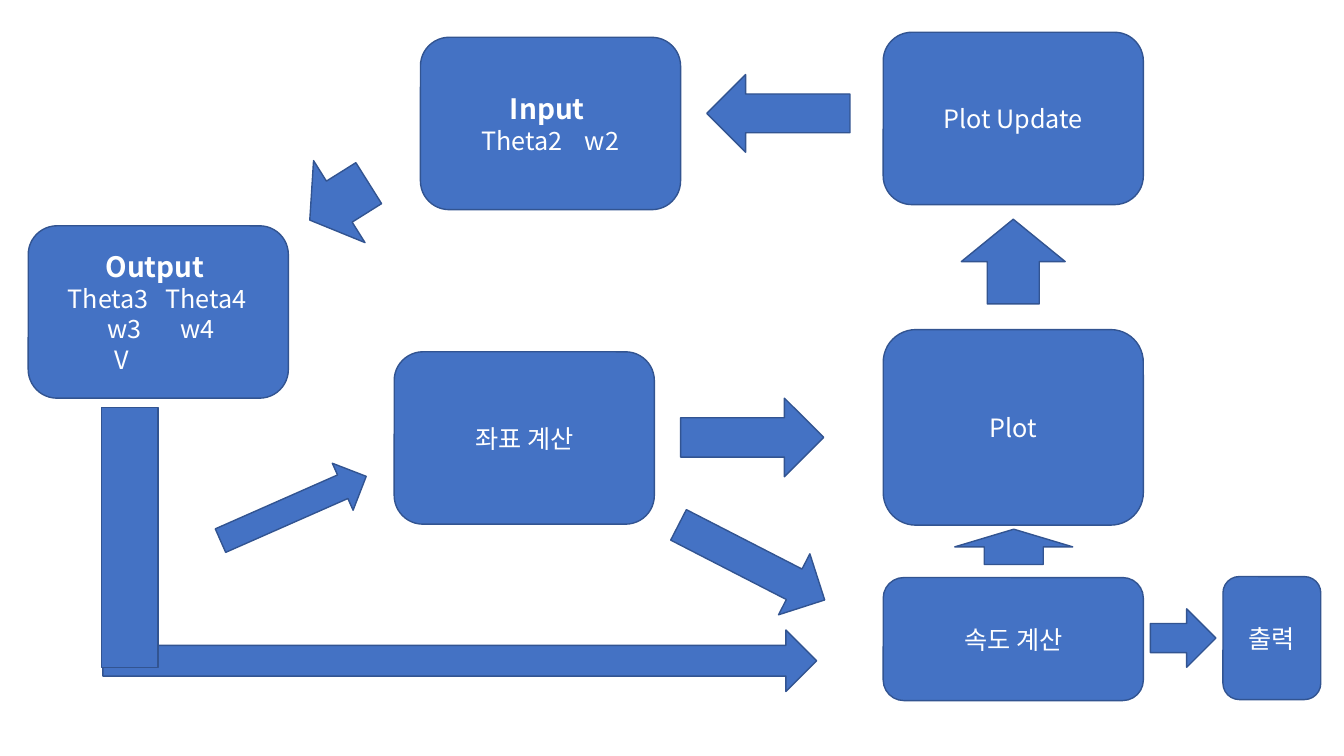
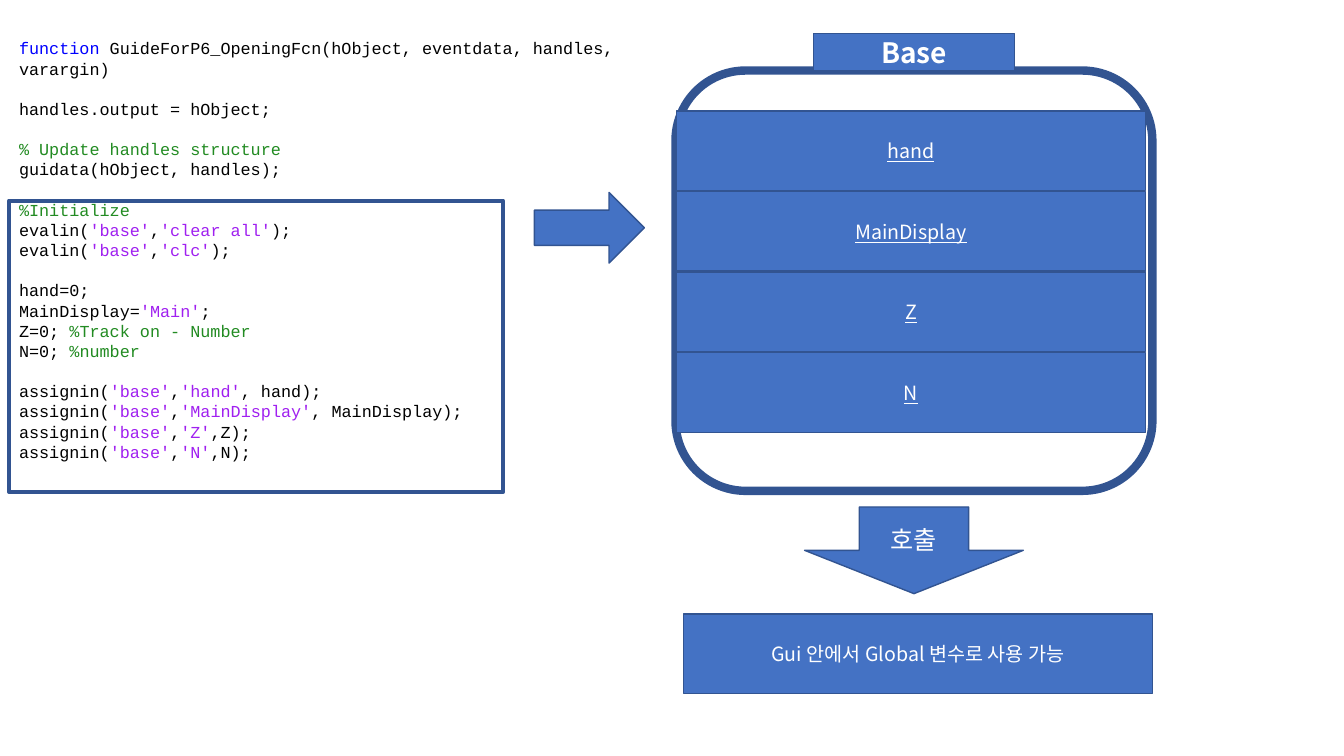
import lxml.etree
import pptx
import pptx.dml.color
import pptx.enum.shapes
import pptx.enum.text
import pptx.oxml.ns
import pptx.util

PX = 9144
SLIDE_SIZE = (1333, 750)
FILL, OUTLINE, WHITE = "4472C4", "325491", "FFFFFF"
LABEL_FONT, CODE_FONT = "Noto Sans CJK KR", "Courier New"
CODE_COLORS = {"keyword": "0000FF", "plain": "000000", "comment": "228B22", "string": "A020F0"}
CODE_LINE = 14.4

SHAPES = pptx.enum.shapes.MSO_SHAPE
ALIGN = pptx.enum.text.PP_ALIGN
ANCHOR = pptx.enum.text.MSO_ANCHOR

HEADING = {"size": 20, "bold": True}
BODY = {"size": 18}
SMALL = {"size": 14}
VARIABLE = {"size": 14, "underline": True}

STEPS = [
    ((28, 224, 258, 171), [("Output ", HEADING, []),
                           ("\tTheta3\tTheta4", BODY, [21, 118]),
                           ("\tw3\tw4", BODY, [60, 133]),
                           ("\tV", BODY, [67])]),
    ((876, 327, 258, 194), [("Plot", BODY, [])]),
    ((391, 349, 258, 171), [("좌표 계산", BODY, [])]),
    ((876, 32, 258, 171), [("Plot Update", BODY, [])]),
    ((417, 37, 258, 171), [("Input ", HEADING, []),
                           ("\tTheta2\tw2", BODY, [42, 145])]),
    ((876, 573, 258, 122), [("속도 계산", BODY, [])]),
    ((1213, 572, 97, 122), [("출력", BODY, [])]),
]

STEP_ARROWS = [
    ((701, 74, 142, 77), 180),
    ((212, 479, 158, 51), 336.2),
    ((102, 625, 708, 61), 0),
    ((675, 395, 142, 78), 0),
    ((963, 208, 84, 103), 270),
    ((302, 152, 69, 96), 147.9),
    ((664, 524, 163, 68), 27.2),
    ((988, 484, 35, 117), 270),
    ((1141, 604, 65, 58), 0),
]
OUTPUT_BAR = (101, 404, 56, 258)

CODE_BLOCKS = [
    ["function GuideForP6_OpeningFcn(hObject, eventdata, handles, varargin)"],
    ["handles.output = hObject;"],
    ["% Update handles structure",
     "guidata(hObject, handles);"],
    ["%Initialize",
     "evalin('base','clear all');",
     "evalin('base','clc');"],
    ["hand=0;",
     "MainDisplay='Main';",
     "Z=0; %Track on - Number",
     "N=0; %number"],
    ["assignin('base','hand', hand);",
     "assignin('base','MainDisplay', MainDisplay);",
     "assignin('base','Z',Z);",
     "assignin('base','N',N);"],
]
CODE_BOX = (9, 33, 612, 454)
CODE_FRAME = (9, 199, 490, 289)
CODE_ARROW = (530, 191, 109, 70)

BASE_FRAME = (670, 70, 473, 417)
BASE_LABEL = (807, 33, 199, 37)
VARIABLES = ["hand", "MainDisplay", "Z", "N"]
ROW_LEFT, ROW_TOP, ROW_WIDTH, ROW_HEIGHT, ROW_STEP = 671, 110, 465, 79, 80
CALL_ARROW = (798, 503, 217, 86)
RESULT_BOX = (678, 609, 465, 79)


def color(value):
    return pptx.dml.color.RGBColor.from_string(value)


def lengths(box):
    return [value * PX for value in box]


def set_values(target, values):
    for name, value in values.items():
        setattr(target, name, value)


def add_run(paragraph, text, font_name, font_color, values):
    run = paragraph.add_run()
    run.text = text
    set_values(run.font, {**values, "name": font_name, "size": pptx.util.Pt(values["size"])})
    run.font.color.rgb = color(font_color)
    east_asian = lxml.etree.SubElement(run.font._element, pptx.oxml.ns.qn("a:ea"))
    east_asian.set("typeface", font_name)


def next_paragraph(frame, index):
    return frame.add_paragraph() if index else frame.paragraphs[0]


def add_tabs(paragraph, stops):
    properties = paragraph._p.get_or_add_pPr()
    tab_list = lxml.etree.SubElement(properties, pptx.oxml.ns.qn("a:tabLst"))
    for stop in stops:
        tab = lxml.etree.SubElement(tab_list, pptx.oxml.ns.qn("a:tab"))
        tab.set("pos", str(stop * PX))
        tab.set("algn", "l")


def add_block(slide, kind, box, lines=(), rotation=0, fill=FILL, line_width=1):
    shape = slide.shapes.add_shape(kind, *lengths(box))
    shape.shadow.inherit = False
    shape.rotation = rotation
    if fill:
        shape.fill.solid()
        shape.fill.fore_color.rgb = color(fill)
    else:
        shape.fill.background()
    shape.line.color.rgb = color(OUTLINE)
    shape.line.width = pptx.util.Pt(line_width)
    frame = shape.text_frame
    set_values(frame, {"word_wrap": True, "vertical_anchor": ANCHOR.MIDDLE})
    for index, (text, values, stops) in enumerate(lines):
        paragraph = next_paragraph(frame, index)
        paragraph.alignment = ALIGN.LEFT if stops else ALIGN.CENTER
        if stops:
            add_tabs(paragraph, stops)
        add_run(paragraph, text, LABEL_FONT, WHITE, values)
    return shape


def code_tokens(line):
    code, percent, comment = line.partition("%")
    if code.startswith("function"):
        yield "keyword", "function"
        code = code.removeprefix("function")
    for index, piece in enumerate(code.split("'")):
        if index % 2:
            yield "string", f"'{piece}'"
        elif piece:
            yield "plain", piece
    if percent:
        yield "comment", percent + comment


def add_code(slide):
    frame = slide.shapes.add_textbox(*lengths(CODE_BOX)).text_frame
    frame.word_wrap = True
    count = 0
    for block in CODE_BLOCKS:
        for position, line in enumerate(block):
            paragraph = next_paragraph(frame, count)
            paragraph.line_spacing = pptx.util.Pt(CODE_LINE)
            if count and position == 0:
                paragraph.space_before = pptx.util.Pt(CODE_LINE)
            for kind, text in code_tokens(line):
                add_run(paragraph, text, CODE_FONT, CODE_COLORS[kind], {"size": 12})
            count += 1


def build_flow(slide):
    for box, lines in STEPS:
        add_block(slide, SHAPES.ROUNDED_RECTANGLE, box, lines)
    for box, rotation in STEP_ARROWS:
        add_block(slide, SHAPES.RIGHT_ARROW, box, rotation=rotation)
    add_block(slide, SHAPES.RECTANGLE, OUTPUT_BAR)


def build_workspace(slide):
    add_code(slide)
    add_block(slide, SHAPES.ROUNDED_RECTANGLE, BASE_FRAME, fill=None, line_width=6)
    add_block(slide, SHAPES.RECTANGLE, CODE_FRAME, fill=None, line_width=3)
    add_block(slide, SHAPES.RIGHT_ARROW, CODE_ARROW)
    add_block(slide, SHAPES.RECTANGLE, BASE_LABEL, [("Base", HEADING, [])])
    for index, name in enumerate(VARIABLES):
        row = (ROW_LEFT, ROW_TOP + index * ROW_STEP, ROW_WIDTH, ROW_HEIGHT)
        add_block(slide, SHAPES.RECTANGLE, row, [(name, VARIABLE, [])])
    add_block(slide, SHAPES.DOWN_ARROW, CALL_ARROW, [("호출", BODY, [])])
    add_block(slide, SHAPES.RECTANGLE, RESULT_BOX,
              [("Gui 안에서 Global 변수로 사용 가능", SMALL, [])])


def main():
    presentation = pptx.Presentation()
    presentation.slide_width, presentation.slide_height = lengths(SLIDE_SIZE)
    blank_layout = presentation.slide_layouts[6]
    for build in (build_flow, build_workspace):
        build(presentation.slides.add_slide(blank_layout))
    presentation.save("out.pptx")


if __name__ == "__main__":
    main()
